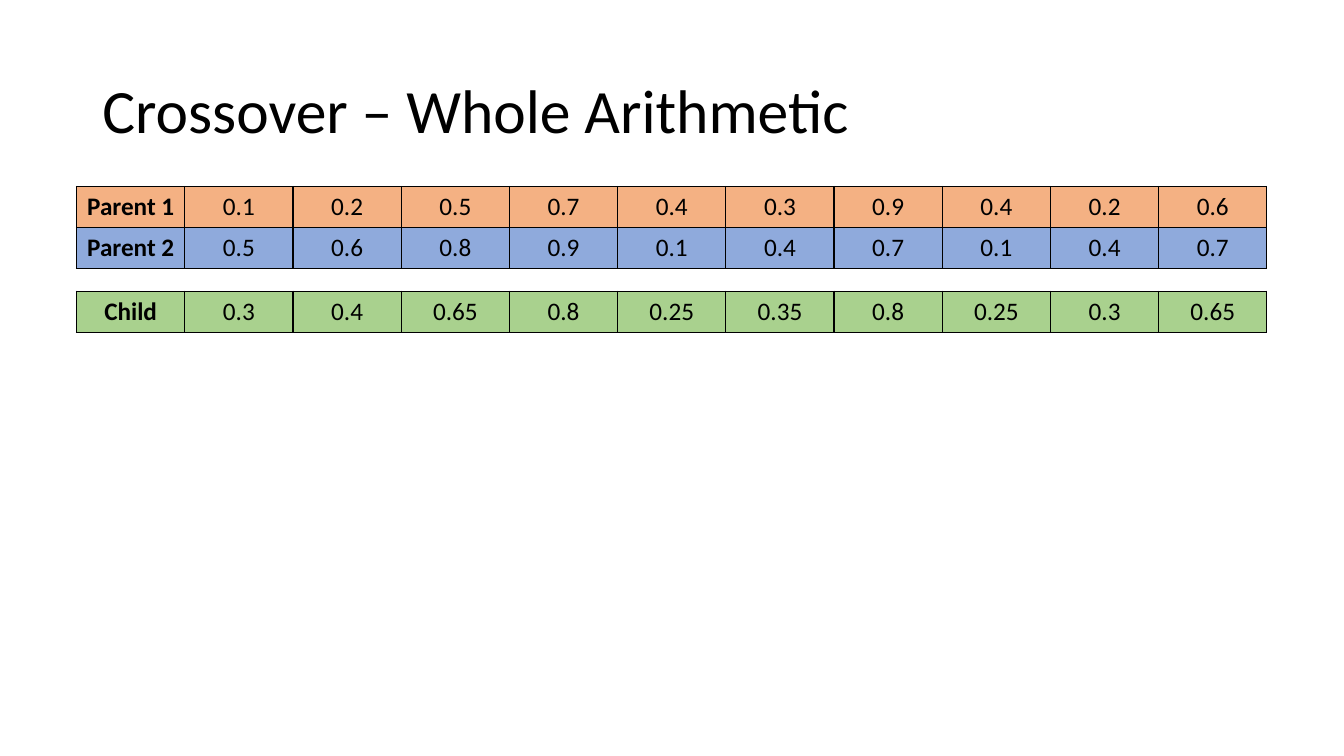
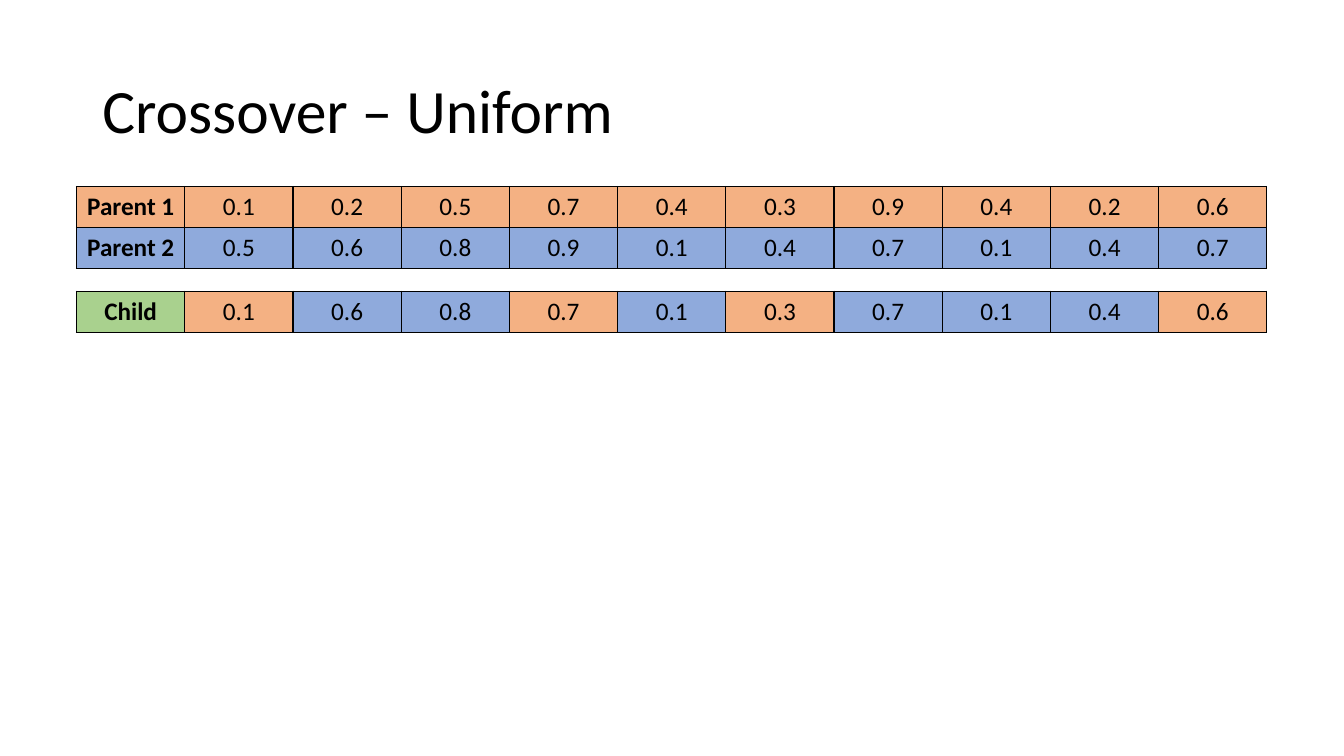
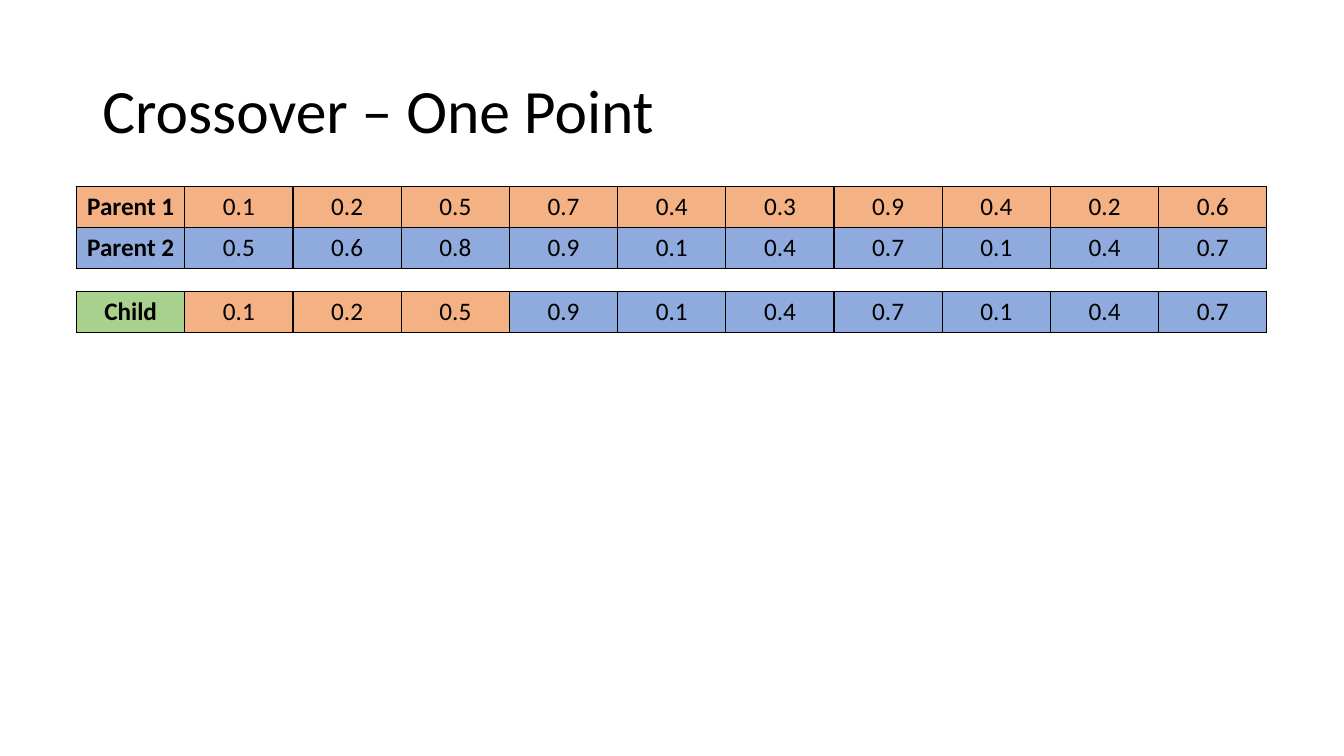
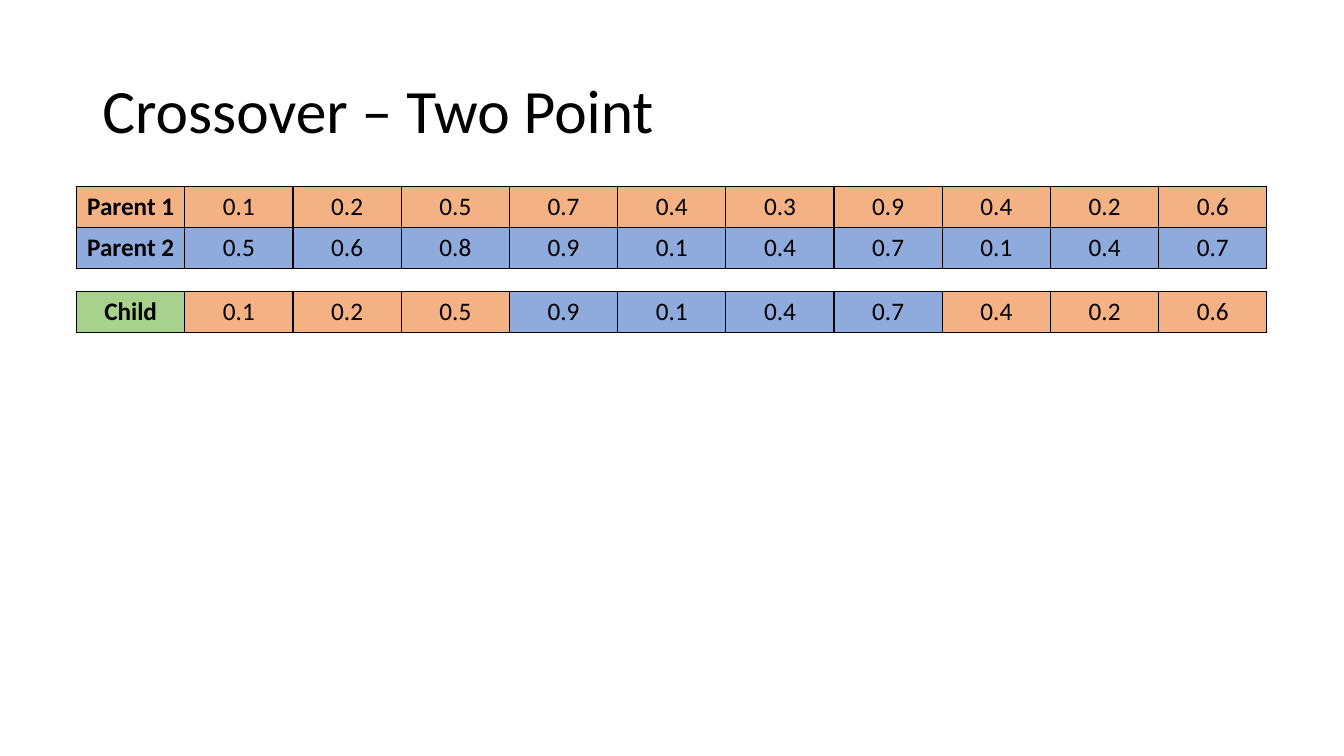
"""Build four slides that compare crossover operators on real-valued genomes."""
from lxml import etree
from pptx import Presentation
from pptx import util as u
from pptx.dml.color import RGBColor
from pptx.enum import text
from pptx.oxml import ns

BLACK = RGBColor(0x00, 0x00, 0x00)
ORANGE = RGBColor(0xF4, 0xB1, 0x83)
BLUE = RGBColor(0x8F, 0xAA, 0xDC)
GREEN = RGBColor(0xA9, 0xD1, 0x8E)
FONT = "Calibri"

GRID_LEFT, GRID_WIDTH, ROW_HEIGHT = u.Cm(1.93), u.Cm(30), u.Cm(1.03)
PARENTS_TOP, CHILD_TOP = u.Cm(4.7), u.Cm(7.34)

PARENT_1 = [0.1, 0.2, 0.5, 0.7, 0.4, 0.3, 0.9, 0.4, 0.2, 0.6]
PARENT_2 = [0.5, 0.6, 0.8, 0.9, 0.1, 0.4, 0.7, 0.1, 0.4, 0.7]
AVERAGE = "A" * len(PARENT_1)
CROSSOVERS = [
    ("Whole Arithmetic", AVERAGE),
    ("Uniform", "1221212221"),
    ("One Point", "1112222222"),
    ("Two Point", "1112222111"),
]


def style_text(paragraph, size, bold=False):
    for run in paragraph.runs:
        run.font.name = FONT
        run.font.size = u.Pt(size)
        run.font.bold = bold
        run.font.color.rgb = BLACK


def add_genomes(slide, top, genomes):
    """Draw one row per genome, given as a list of (label, colour) genes."""
    columns = len(genomes[0])
    grid = slide.shapes.add_table(
        len(genomes), columns, GRID_LEFT, top, GRID_WIDTH, ROW_HEIGHT * len(genomes)
    ).table
    grid.first_row = grid.horz_banding = False
    for row, genome in enumerate(genomes):
        for column, (label, colour) in enumerate(genome):
            cell = grid.cell(row, column)
            cell.text_frame.text = label
            paragraph = cell.text_frame.paragraphs[0]
            paragraph.alignment = text.PP_ALIGN.CENTER
            style_text(paragraph, 18, bold=column == 0)
            properties = cell._tc.get_or_add_tcPr()
            for side in ("a:lnL", "a:lnR", "a:lnT", "a:lnB"):
                border = etree.SubElement(properties, ns.qn(side), w=str(u.Pt(1)))
                line_fill = etree.SubElement(border, ns.qn("a:solidFill"))
                etree.SubElement(line_fill, ns.qn("a:srgbClr"), val=str(BLACK))
            cell.fill.solid()
            cell.fill.fore_color.rgb = colour


deck = Presentation()
deck.slide_width, deck.slide_height = u.Cm(33.87), u.Cm(19.05)

parents = [
    [(name, colour)] + [(f"{gene:g}", colour) for gene in genes]
    for name, colour, genes in (
        ("Parent 1", ORANGE, PARENT_1),
        ("Parent 2", BLUE, PARENT_2),
    )
]

for crossover, sources in CROSSOVERS:
    slide = deck.slides.add_slide(deck.slide_layouts[6])

    title = slide.shapes.add_textbox(u.Cm(2.33), u.Cm(1.01), u.Cm(29.21), u.Cm(3.68))
    title.text_frame.word_wrap = True
    title.text_frame.vertical_anchor = text.MSO_ANCHOR.MIDDLE
    title.text_frame.text = f"Crossover – {crossover}"
    heading = title.text_frame.paragraphs[0]
    heading.line_spacing = 0.9
    style_text(heading, 44)

    child = [("Child", GREEN)]
    for source, first, second in zip(sources, PARENT_1, PARENT_2):
        gene, colour = {
            "1": (first, ORANGE),
            "2": (second, BLUE),
            "A": ((first + second) / 2, GREEN),
        }[source]
        child.append((f"{gene:g}", colour))

    add_genomes(slide, PARENTS_TOP, parents)
    add_genomes(slide, CHILD_TOP, [child])

deck.save("out.pptx")
